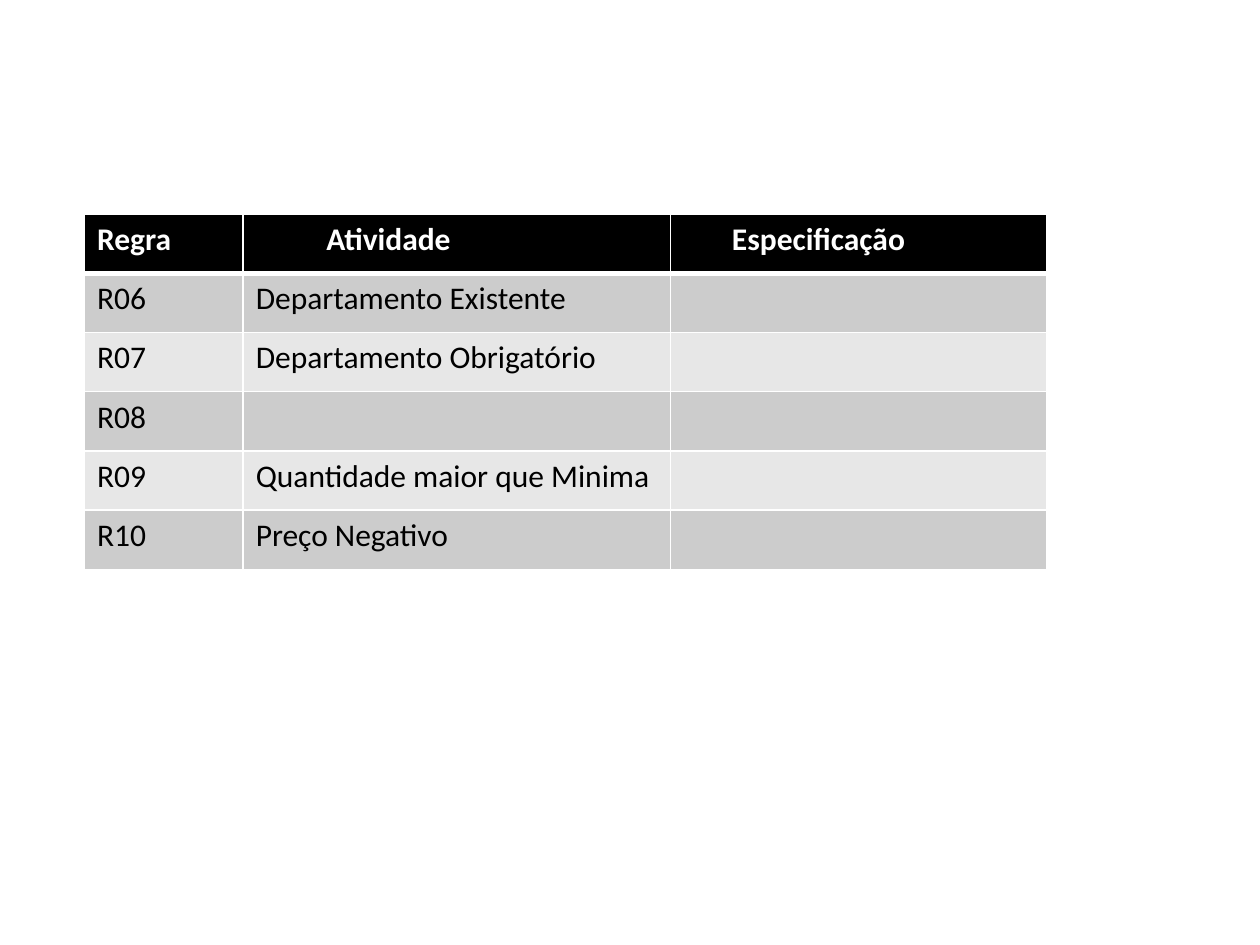
from dataclasses import dataclass

from lxml.etree import SubElement
from pptx import Presentation
from pptx.dml.color import RGBColor
from pptx.oxml.ns import qn
from pptx.util import Inches, Pt

PAGE_WIDTH, PAGE_HEIGHT = 10, 7.5
LEFT, TOP, ROW_HEIGHT = 0.67, 1.7, 0.47
CELL_MARGIN = 0.1
FONT, FONT_SIZE = "Calibri", 18
BLACK, WHITE = "000000", "FFFFFF"
BANDS = ("CCCCCC", "E7E7E7")
THIN, THICK = 1, 3


@dataclass(frozen=True)
class Column:
    """A table column with its heading, width and heading indent in inches."""
    heading: str
    width: float
    indent: float = 0


@dataclass(frozen=True)
class Look:
    """The fill, text colour, weight and border widths of one table row."""
    fill: str
    ink: str = BLACK
    bold: bool = False
    top: int = THIN
    bottom: int = THIN


COLUMNS = (
    Column("Regra", 1.26),
    Column("Atividade", 3.39, 0.56),
    Column("Especificação", 2.99, 0.39),
)
RULES = (
    ("R06", "Departamento Existente", ""),
    ("R07", "Departamento Obrigatório", ""),
    ("R08", "", ""),
    ("R09", "Quantidade maior que Minima", ""),
    ("R10", "Preço Negativo", ""),
)


def colour(value: str) -> RGBColor:
    """Turn a hex string into a colour."""
    return RGBColor.from_string(value)


def draw_borders(cell, look: Look) -> None:
    """Give the cell white borders on all four sides."""
    properties = cell._tc.get_or_add_tcPr()
    sides = {"L": THIN, "R": THIN, "T": look.top, "B": look.bottom}
    for side, width in sides.items():
        line = SubElement(properties, qn(f"a:ln{side}"), w=str(Pt(width)))
        fill = SubElement(line, qn("a:solidFill"))
        SubElement(fill, qn("a:srgbClr"), val=WHITE)


def draw_cell(cell, text: str, look: Look, indent: float = 0) -> None:
    """Write and format one table cell."""
    draw_borders(cell, look)
    cell.fill.solid()
    cell.fill.fore_color.rgb = colour(look.fill)
    cell.margin_left = Inches(CELL_MARGIN + indent)
    cell.text_frame.text = text
    para = cell.text_frame.paragraphs[0]
    for font in (para.font, *(span.font for span in para.runs)):
        font.name = FONT
        font.size = Pt(FONT_SIZE)
        font.bold = look.bold
        font.color.rgb = colour(look.ink)


def row_look(index: int) -> Look:
    """Choose the look of a row: the heading, then alternating bands."""
    if index == 0:
        return Look(BLACK, WHITE, True, bottom=THICK)
    return Look(BANDS[(index - 1) % 2], top=THICK if index == 1 else THIN)


def draw_rules_table(page) -> None:
    """Add the table of business rules."""
    rows = (tuple(column.heading for column in COLUMNS), *RULES)
    width = sum(column.width for column in COLUMNS)
    table = page.shapes.add_table(
        len(rows), len(COLUMNS), Inches(LEFT), Inches(TOP),
        Inches(width), Inches(ROW_HEIGHT * len(rows)),
    ).table
    for index, column in enumerate(COLUMNS):
        table.columns[index].width = Inches(column.width)
    for row, texts in enumerate(rows):
        table.rows[row].height = Inches(ROW_HEIGHT)
        for index, (column, text) in enumerate(zip(COLUMNS, texts)):
            indent = column.indent if row == 0 else 0
            draw_cell(table.cell(row, index), text, row_look(row), indent)


def main() -> None:
    """Build and save the deck."""
    deck = Presentation()
    deck.slide_width = Inches(PAGE_WIDTH)
    deck.slide_height = Inches(PAGE_HEIGHT)
    page = deck.slides.add_slide(deck.slide_layouts[6])
    draw_rules_table(page)
    deck.save("out.pptx")


if __name__ == "__main__":
    main()
